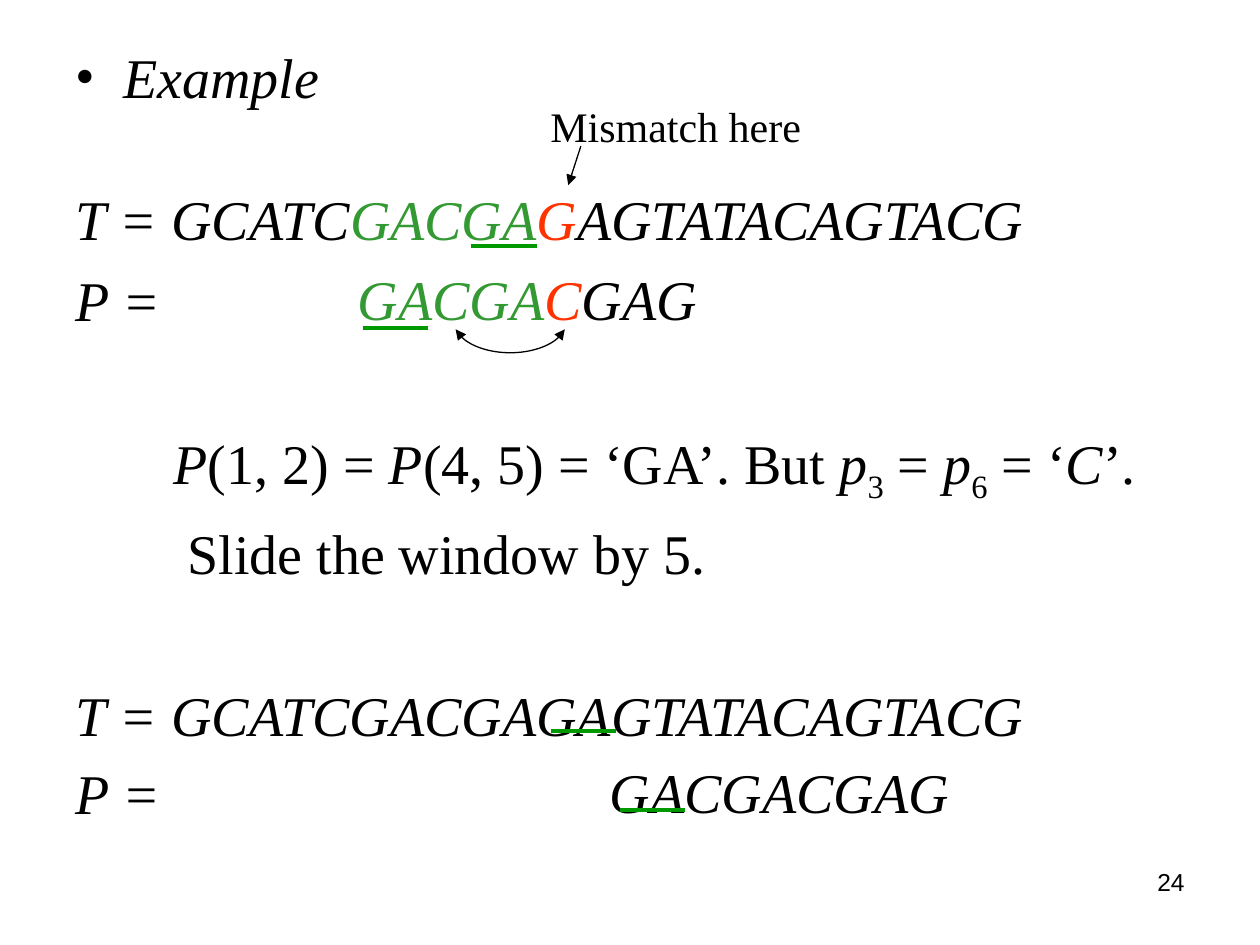
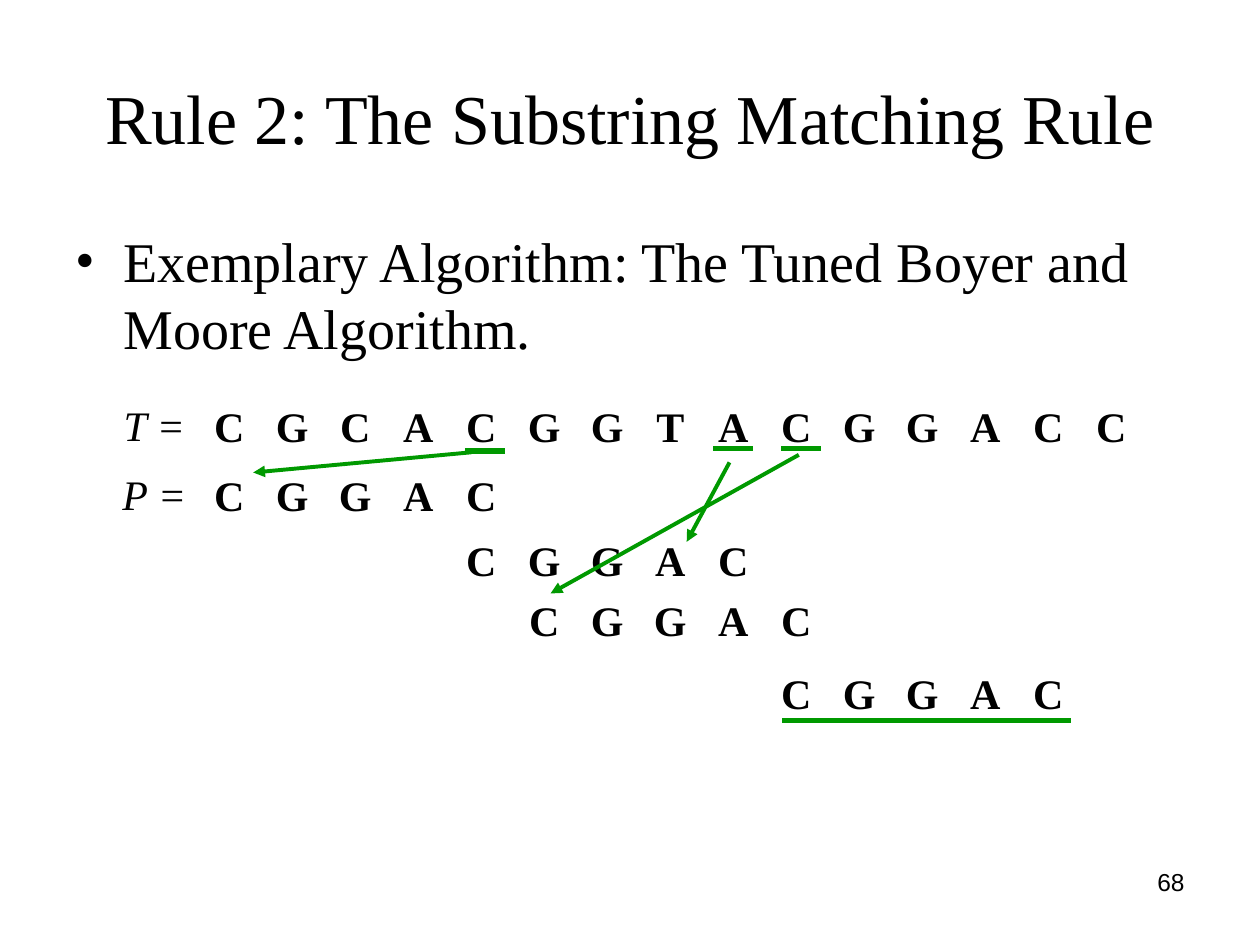
from dataclasses import dataclass

import pptx
import pptx.dml.color
import pptx.enum.shapes
import pptx.enum.text
import pptx.oxml
import pptx.oxml.ns
import pptx.util
from pptx.util import Inches

ALIGN = pptx.enum.text.PP_ALIGN
ANCHOR = pptx.enum.text.MSO_ANCHOR


@dataclass(frozen=True)
class Theme:
    serif: str = "Times New Roman"
    sans: str = "Arial"
    ink: str = "000000"
    match: str = "339933"
    mismatch: str = "FF3300"
    marker: str = "009900"
    title_size: int = 40
    body_size: int = 32
    label_size: int = 24
    number_size: int = 14


THEME = Theme()


@dataclass(frozen=True)
class Span:
    text: str
    colour: str = THEME.ink
    italic: bool = False
    bold: bool = False
    subscript: bool = False
    size: int = THEME.body_size
    font: str = THEME.serif


@dataclass(frozen=True)
class Line:
    spans: tuple[Span, ...]
    before: float = 0
    indent: float = 0
    bullet: bool = False


@dataclass(frozen=True)
class Pattern:
    left: float
    top: float
    spans: tuple[Span, ...]


@dataclass(frozen=True)
class Stroke:
    start: tuple[float, float]
    end: tuple[float, float]
    width: float = 2.25
    colour: str = THEME.marker
    arrow: bool = False


@dataclass(frozen=True)
class LetterRow:
    letters: str
    column: int
    top: float


FIRST_COLUMN, COLUMN_STEP = 1.57, 0.5
HANGING = 0.38


def italic(text: str, colour: str = THEME.ink) -> Span:
    return Span(text, colour, italic=True)


def sub(text: str) -> Span:
    return Span(text, subscript=True)


EXAMPLE_LINES = (
    Line((italic("Example"),), bullet=True),
    Line((italic("T = GCATC"), italic("GACGA", THEME.match),
          italic("G", THEME.mismatch), italic("AGTATACAGTACG")), before=42.5),
    Line((italic("P ="),), before=8),
    Line((italic("P"), Span("(1, 2) = "), italic("P"), Span("(4, 5) = ‘GA’. But "),
          italic("p"), sub("3"), Span(" = "), italic("p"), sub("6"),
          Span(" = ‘"), italic("C"), Span("’.")), before=54.5, indent=0.78),
    Line((Span("Slide the window by 5."),), before=8, indent=0.89),
    Line((italic("T = GCATCGACGAGAGTATACAGTACG"),), before=54),
    Line((italic("P ="),), before=6),
)

PATTERNS = (
    Pattern(2.74, 2.05, (italic("GACGA", THEME.match), italic("C", THEME.mismatch),
                         italic("GAG"))),
    Pattern(4.74, 5.96, (italic("GACGACGAG"),)),
)

EXAMPLE_STROKES = (
    Stroke((4.61, 1.16), (4.51, 1.47), 0.75, THEME.ink, True),
    *(Stroke((left, top), (left + 0.52, top))
      for left, top in ((3.74, 1.95), (2.88, 2.6), (4.37, 5.8), (4.92, 6.43))),
)

LETTER_ROWS = (
    LetterRow("CGCACGGTACGGACC", 0, 3.13),
    LetterRow("CGGAC", 0, 3.68),
    LetterRow("CGGAC", 4, 4.19),
    LetterRow("CGGAC", 5, 4.67),
    LetterRow("CGGAC", 9, 5.25),
)

RULE_STROKES = (
    Stroke((3.69, 3.58), (4.01, 3.58), 3),
    Stroke((3.74, 3.59), (2.01, 3.75), arrow=True),
    Stroke((5.66, 3.56), (5.98, 3.56), 3),
    Stroke((6.2, 3.56), (6.52, 3.56), 3),
    Stroke((5.79, 3.67), (5.45, 4.3), arrow=True),
    Stroke((6.34, 3.61), (4.37, 4.71), arrow=True),
    Stroke((6.21, 5.72), (8.5, 5.72), 3),
)


def add_child(parent, tag: str, **attributes: str) -> None:
    parent.append(parent.makeelement(pptx.oxml.ns.qn(tag), attributes))


def format_paragraph(para, line: Line) -> None:
    properties = para._p.get_or_add_pPr()
    margin = HANGING if line.bullet else line.indent
    properties.set("marL", str(Inches(margin)))
    properties.set("indent", str(Inches(-HANGING if line.bullet else 0)))
    para.space_before = pptx.util.Pt(line.before)
    if line.bullet:
        add_child(properties, "a:buFont", typeface=THEME.serif)
        add_child(properties, "a:buChar", char="•")
    else:
        add_child(properties, "a:buNone")


def format_run(run, span: Span) -> None:
    run.font.name = span.font
    run.font.size = pptx.util.Pt(span.size)
    run.font.bold = span.bold
    run.font.italic = span.italic
    run.font.color.rgb = pptx.dml.color.RGBColor.from_string(span.colour)
    if span.subscript:
        run.font._element.set("baseline", "-25000")


def fill_frame(frame, lines: tuple[Line, ...], align=ALIGN.LEFT, anchor=ANCHOR.TOP) -> None:
    frame.word_wrap = True
    frame.vertical_anchor = anchor
    for index, line in enumerate(lines):
        para = frame.paragraphs[0] if index == 0 else frame.add_paragraph()
        format_paragraph(para, line)
        para.alignment = align
        for span in line.spans:
            run = para.add_run()
            run.text = span.text
            format_run(run, span)
        add_child(para._p, "a:endParaRPr", sz=str(line.spans[-1].size * 100))


def place(shape, left: float, top: float, width: float, height: float) -> None:
    shape.left, shape.top = Inches(left), Inches(top)
    shape.width, shape.height = Inches(width), Inches(height)


def add_text(page, left: float, top: float, width: float, height: float,
             lines: tuple[Line, ...], align=ALIGN.LEFT) -> None:
    box = page.shapes.add_textbox(Inches(left), Inches(top), Inches(width), Inches(height))
    fill_frame(box.text_frame, lines, align)


def add_label(page, left: float, top: float, width: float, text: str,
              align=ALIGN.CENTER, bold: bool = False, slanted: bool = False) -> None:
    span = Span(text, size=THEME.label_size, bold=bold, italic=slanted)
    add_text(page, left, top, width, 0.5, (Line((span,)),), align)


def add_page_number(page, number: int) -> None:
    span = Span(str(number), size=THEME.number_size, font=THEME.sans)
    add_text(page, 7.17, 6.83, 2.33, 0.52, (Line((span,)),), ALIGN.RIGHT)


def style_line(shape, width: float, colour: str, ends: tuple[str, ...]) -> None:
    shape.line.width = pptx.util.Pt(width)
    shape.line.color.rgb = pptx.dml.color.RGBColor.from_string(colour)
    for end in ends:
        add_child(shape.line._get_or_add_ln(), end, type="triangle")


def add_stroke(page, stroke: Stroke) -> None:
    connector = page.shapes.add_connector(
        pptx.enum.shapes.MSO_CONNECTOR.STRAIGHT,
        *(Inches(value) for value in stroke.start + stroke.end))
    style_line(connector, stroke.width, stroke.colour,
               ("a:tailEnd",) if stroke.arrow else ())
    add_child(connector._element.spPr, "a:effectLst")


def add_swap_arc(page) -> None:
    arc = page.shapes.add_shape(pptx.enum.shapes.MSO_SHAPE.ARC, Inches(3.6),
                                Inches(2.29), Inches(0.9), Inches(0.51))
    for index, degrees in enumerate((9, 171)):
        arc.adjustments[index] = degrees * 0.6
    arc.shadow.inherit = False
    arc.fill.background()
    style_line(arc, 0.75, THEME.ink, ("a:headEnd", "a:tailEnd"))


def add_letter_row(page, row: LetterRow) -> None:
    for column, letter in enumerate(row.letters, row.column):
        add_label(page, FIRST_COLUMN + column * COLUMN_STEP, row.top,
                  COLUMN_STEP, letter, bold=True)


def build_example(deck) -> None:
    page = deck.slides.add_slide(deck.slide_layouts.get_by_name("Blank"))
    add_text(page, 0.5, 0.29, 9, 6.41, EXAMPLE_LINES)
    for pattern in PATTERNS:
        add_text(page, pattern.left, pattern.top, 3.2, 0.63, (Line(pattern.spans),))
    add_label(page, 4.27, 0.75, 2.23, "Mismatch here", ALIGN.LEFT)
    for stroke in EXAMPLE_STROKES:
        add_stroke(page, stroke)
    add_swap_arc(page)
    add_page_number(page, 24)


def build_rule(deck) -> None:
    page = deck.slides.add_slide(deck.slide_layouts.get_by_name("Title Only"))
    title = page.shapes.title
    place(title, 0.5, 0.3, 9, 1.25)
    heading = Span("Rule 2: The Substring Matching Rule", size=THEME.title_size)
    fill_frame(title.text_frame, (Line((heading,)),), ALIGN.CENTER, ANCHOR.MIDDLE)
    topic = Span("Exemplary Algorithm: The Tuned Boyer and Moore Algorithm.")
    add_text(page, 0.5, 1.75, 9, 1.3, (Line((topic,), bullet=True),))
    for text, top in (("T =", 3.12), ("P =", 3.67)):
        add_label(page, 0.83, top, 0.79, text, slanted=True)
    for row in LETTER_ROWS:
        add_letter_row(page, row)
    for stroke in RULE_STROKES:
        add_stroke(page, stroke)
    add_page_number(page, 68)


def main() -> None:
    deck = pptx.Presentation()
    deck.slide_width, deck.slide_height = Inches(10), Inches(7.5)
    build_example(deck)
    build_rule(deck)
    deck.save("out.pptx")


if __name__ == "__main__":
    main()
